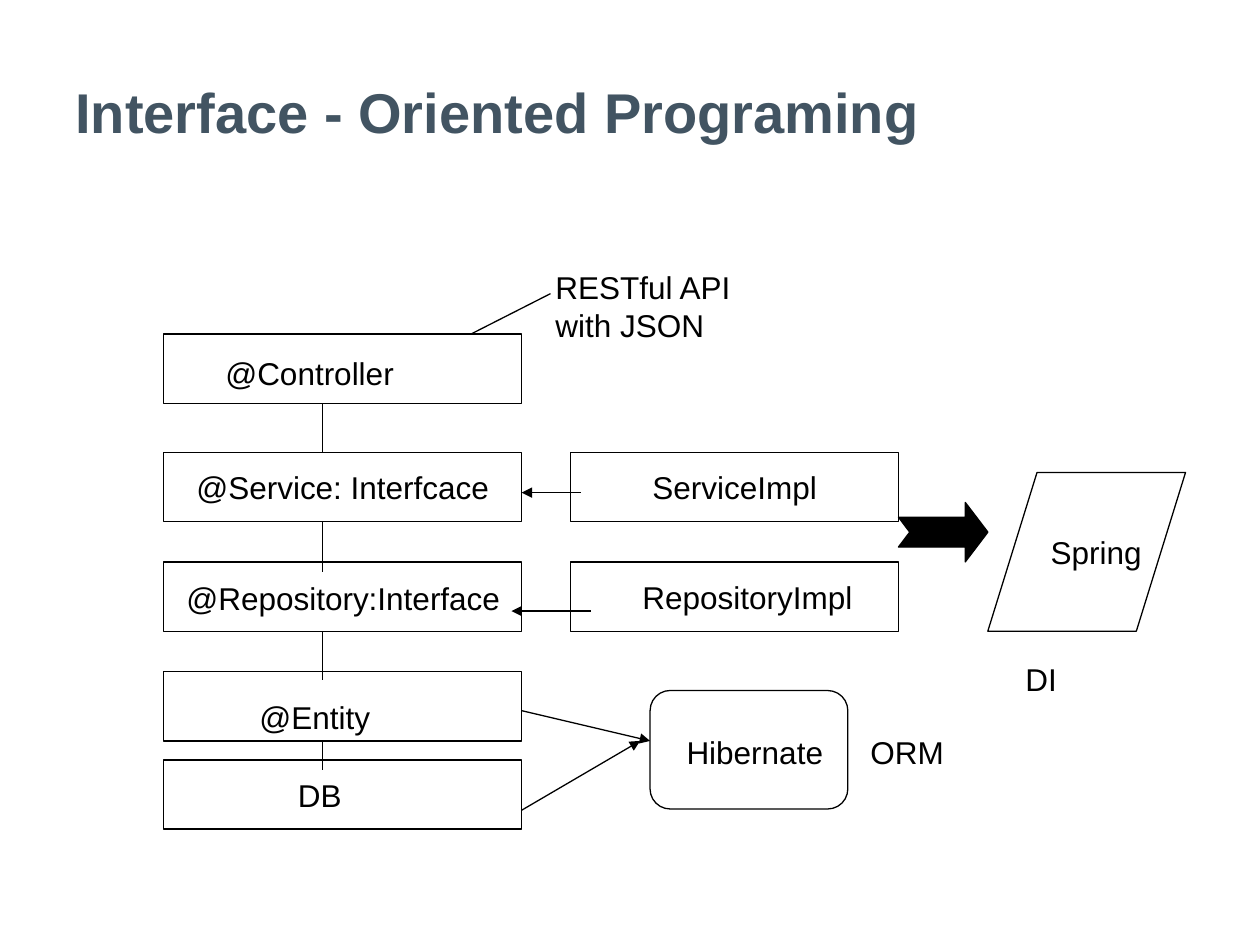
from lxml import etree
from pptx import Presentation
from pptx.dml.color import RGBColor
from pptx.enum.shapes import MSO_CONNECTOR as Connector, MSO_SHAPE as Shape
from pptx.enum.text import MSO_ANCHOR as Anchor, PP_ALIGN as Align
from pptx.oxml.ns import qn
from pptx.util import Pt

COLORS = {"title": "425462", "ink": "000000", "paper": "FFFFFF"}
FONT = "Arial"
LAYER_LEFT, LAYER_WIDTH = 93.6, 204.5
IMPL_LEFT, IMPL_WIDTH = 326.2, 187.2
ROW_HEIGHT = 39.6
LABEL_HEIGHT = 28.8
SPINE_X = 184.3
ROWS = {
    "controller": 190.8,
    "service": 258.5,
    "repository": 321.1,
    "entity": 383.8,
    "db": 434.2,
}


def color(name):
    return RGBColor.from_string(COLORS[name])


def write(shape, text, size=18, ink="ink", bold=False, align=Align.LEFT, anchor=Anchor.TOP):
    frame = shape.text_frame
    frame.word_wrap = True
    frame.vertical_anchor = anchor
    paragraph = frame.paragraphs[0]
    paragraph.alignment = align
    run = paragraph.add_run()
    run.text = text
    run.font.name = FONT
    run.font.size = Pt(size)
    run.font.bold = bold
    run.font.color.rgb = color(ink)


def add_label(slide, text, left, top, width, height=LABEL_HEIGHT, **style):
    label = slide.shapes.add_textbox(Pt(left), Pt(top), Pt(width), Pt(height))
    write(label, text, **style)


def add_block(slide, kind, left, top, width, height, fill="paper", adjustments=()):
    block = slide.shapes.add_shape(kind, Pt(left), Pt(top), Pt(width), Pt(height))
    block.shadow.inherit = False
    block.fill.solid()
    block.fill.fore_color.rgb = color(fill)
    block.line.color.rgb = color("ink")
    block.line.width = Pt(0.75)
    for index, value in enumerate(adjustments):
        block.adjustments[index] = value
    return block


def add_line(slide, start, end, arrow=False):
    line = slide.shapes.add_connector(Connector.STRAIGHT, *map(Pt, start + end))
    line.line.color.rgb = color("ink")
    line.line.width = Pt(0.75)
    if arrow:
        etree.SubElement(line.line._get_or_add_ln(), qn("a:tailEnd"), type="triangle")
    etree.SubElement(line._element.spPr, qn("a:effectLst"))


def add_layers(slide):
    for top in ROWS.values():
        add_block(slide, Shape.RECTANGLE, LAYER_LEFT, top, LAYER_WIDTH, ROW_HEIGHT)
    for text, left, top, width in (
        ("@Controller", 121.7, 198.7, 113),
        ("@Service: Interfcace", 105.1, 264.2, 192),
        ("@Repository:Interface", 99.4, 327.6, 221),
        ("@Entity", 141.1, 395.3, 94.3),
        ("DB", 163.2, 439.9, 79.4),
    ):
        add_label(slide, text, left, top, width)


def add_implementations(slide):
    service_impl, _ = [
        add_block(slide, Shape.RECTANGLE, IMPL_LEFT, ROWS[row], IMPL_WIDTH, ROW_HEIGHT)
        for row in ("service", "repository")
    ]
    write(service_impl, "ServiceImpl", align=Align.CENTER, anchor=Anchor.MIDDLE)
    add_label(slide, "RepositoryImpl", 360, 326.9, 144)
    add_line(slide, (331.9, 281.5), (298.1, 281.5), arrow=True)
    add_line(slide, (337.7, 349.2), (292.3, 349.2), arrow=True)


def add_spine(slide):
    """Link each layer to the one below it."""
    for row, end in (("controller", 258.5), ("service", 326.9),
                     ("repository", 388.8), ("entity", 439.9)):
        add_line(slide, (SPINE_X, ROWS[row] + ROW_HEIGHT), (SPINE_X, end))


def add_frameworks(slide):
    layer_right = LAYER_LEFT + LAYER_WIDTH
    add_line(slide, (layer_right, 406.1), (371.5, 423.4), arrow=True)
    add_line(slide, (layer_right, 463), (365.8, 423.4), arrow=True)
    add_block(slide, Shape.ROUNDED_RECTANGLE, 371.5, 394.6, 113, 67.7, adjustments=(0.17,))
    add_label(slide, "Hibernate", 385.2, 415.4, 94.3)
    add_label(slide, "ORM", 490.3, 415.4, 90.7)

    add_block(slide, Shape.NOTCHED_RIGHT_ARROW, 513.4, 287.1, 51.1, 34,
              fill="ink", adjustments=(0.5, 0.38))
    add_block(slide, Shape.PARALLELOGRAM, 564.5, 270, 113, 90.7, adjustments=(0.31,))
    add_label(slide, "Spring", 593.3, 301, 72.7)
    add_label(slide, "DI", 578.9, 373.7, 92.9)


def main():
    deck = Presentation()
    deck.slide_width, deck.slide_height = Pt(720), Pt(540)
    slide = deck.slides.add_slide(deck.slide_layouts[6])
    add_label(slide, "Interface - Oriented Programing", 36, 21.6, 648, 83.5,
              size=32, ink="title", bold=True, anchor=Anchor.MIDDLE)
    add_layers(slide)
    add_implementations(slide)
    add_spine(slide)
    add_frameworks(slide)
    add_label(slide, "RESTful API with JSON", 310.3, 149.8, 123.1, 50.4)
    add_line(slide, (269.3, 190.8), (314.6, 167.8))
    deck.save("out.pptx")


if __name__ == "__main__":
    main()
